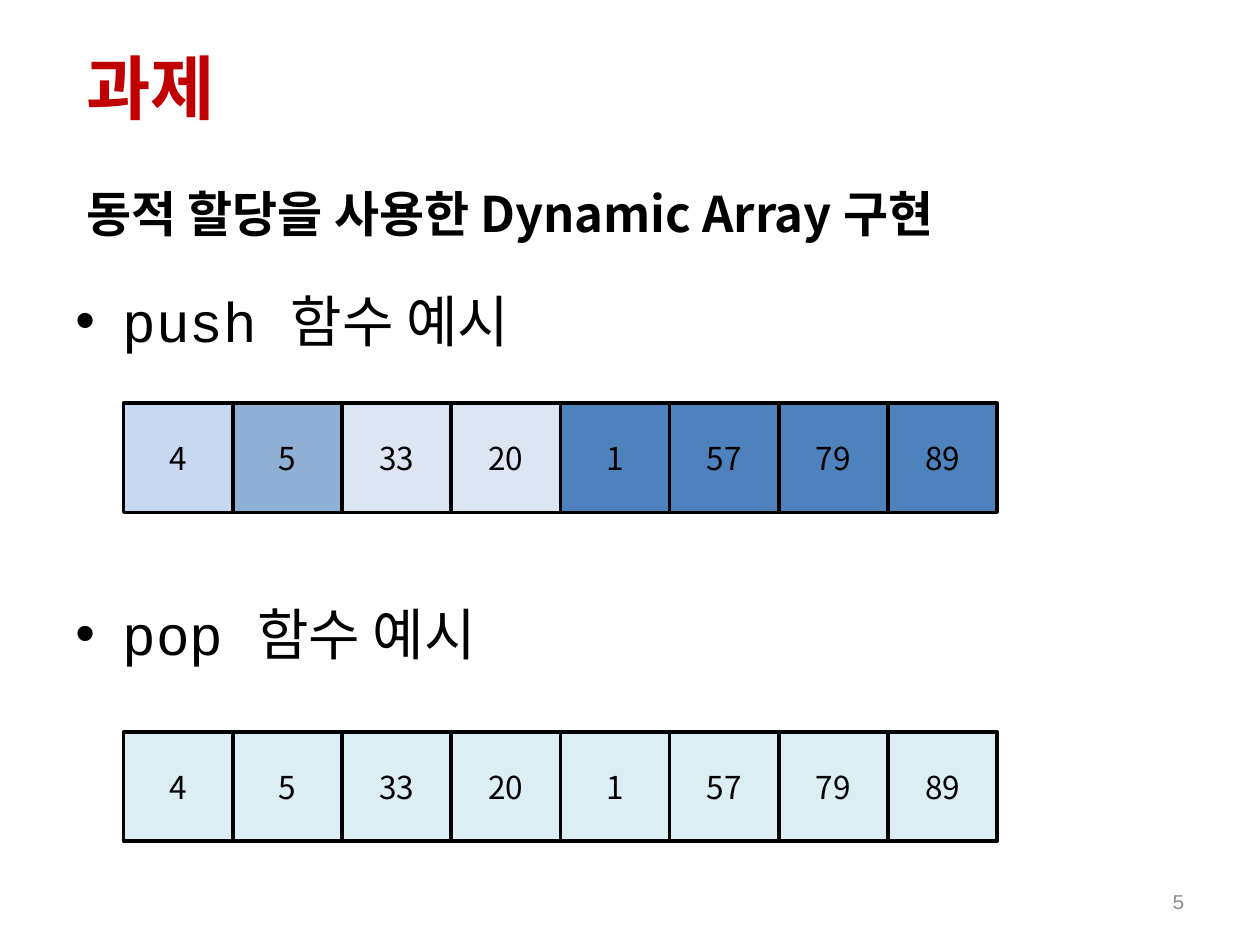
from pptx import Presentation
from pptx.dml.color import RGBColor
from pptx.enum import shapes, text
from pptx.oxml.ns import qn
from pptx.util import Pt
from lxml import etree

BLACK = RGBColor(0x00, 0x00, 0x00)
RED = RGBColor(0xC0, 0x00, 0x00)
GREY = RGBColor(0x8C, 0x8C, 0x8C)
LIGHT_BLUE = RGBColor(0xC6, 0xD9, 0xF1)
MID_BLUE = RGBColor(0x90, 0xAF, 0xD4)
PALE_BLUE = RGBColor(0xDC, 0xE6, 0xF2)
BLUE = RGBColor(0x4F, 0x81, 0xBD)
PALE_CYAN = RGBColor(0xDB, 0xEE, 0xF4)

SANS = "Noto Sans CJK KR"
MONO = "Courier New"

VALUES = [4, 5, 33, 20, 1, 57, 79, 89]
PUSH_FILLS = [LIGHT_BLUE, MID_BLUE] + [PALE_BLUE] * 2 + [BLUE] * 4
POP_FILLS = [PALE_CYAN] * len(VALUES)
CELL = 62.4
ARRAY_LEFT = 70.6


def write(p, words, *, size, font=SANS, color=BLACK, bold=False,
          align=text.PP_ALIGN.LEFT, line=None, before=0):
    """Fill a paragraph with one formatted run; Hangul is always sans."""
    p.alignment = align
    p.space_before = Pt(before)
    if line:
        p.line_spacing = Pt(line)
    r = p.add_run()
    r.text = words
    r.font.size, r.font.name, r.font.bold = Pt(size), font, bold
    r.font.color.rgb = color
    etree.SubElement(r._r.get_or_add_rPr(), qn("a:ea"), typeface=SANS)


def add_box(s, left, top, width, height, anchor=text.MSO_ANCHOR.TOP):
    sp = s.shapes.add_textbox(Pt(left), Pt(top), Pt(width), Pt(height))
    tf = sp.text_frame
    tf.word_wrap = True
    tf.vertical_anchor = anchor
    return tf


def add_bullet(p, indent):
    pPr = p._p.get_or_add_pPr()
    pPr.set("marL", str(Pt(indent)))
    pPr.set("indent", str(-Pt(indent)))
    etree.SubElement(pPr, qn("a:buFont"), typeface="Arial")
    etree.SubElement(pPr, qn("a:buChar"), char="•")


def add_array(s, top, fills):
    for i, (value, fill) in enumerate(zip(VALUES, fills)):
        sp = s.shapes.add_shape(shapes.MSO_SHAPE.RECTANGLE,
                                Pt(ARRAY_LEFT + i * CELL), Pt(top),
                                Pt(CELL), Pt(CELL))
        sp.shadow.inherit = False
        sp.fill.solid()
        sp.fill.fore_color.rgb = fill
        sp.line.color.rgb = BLACK
        sp.line.width = Pt(2)
        tf = sp.text_frame
        tf.vertical_anchor = text.MSO_ANCHOR.MIDDLE
        write(tf.paragraphs[0], str(value), size=18,
              align=text.PP_ALIGN.CENTER)


def main():
    prs = Presentation()
    prs.slide_width, prs.slide_height = Pt(720), Pt(540)
    s = prs.slides.add_slide(prs.slide_layouts[6])

    # Title and heading
    tf = add_box(s, 42.5, 4.3, 601, 90, text.MSO_ANCHOR.MIDDLE)
    write(tf.paragraphs[0], "과제", size=40, color=RED, bold=True)
    tf = add_box(s, 42.5, 97.9, 584, 41)
    write(tf.paragraphs[0], "동적 할당을 사용한 Dynamic Array 구현",
          size=28, bold=True, line=37)

    # Bullets, spaced to leave room for the arrays
    tf = add_box(s, 36, 157.7, 648, 356.4)
    for p, words, before in (
            (tf.paragraphs[0], "push 함수 예시", 0),
            (tf.add_paragraph(), "pop 함수 예시", 138)):
        write(p, words, size=32, font=MONO, line=41, before=before)
        add_bullet(p, 27)

    # Arrays
    add_array(s, 230.4, PUSH_FILLS)
    add_array(s, 418.3, POP_FILLS)

    # Page number
    tf = add_box(s, 516, 500.5, 168, 28.8, text.MSO_ANCHOR.MIDDLE)
    write(tf.paragraphs[0], "5", size=12, font=MONO, color=GREY,
          align=text.PP_ALIGN.RIGHT)

    prs.save("out.pptx")


if __name__ == "__main__":
    main()
